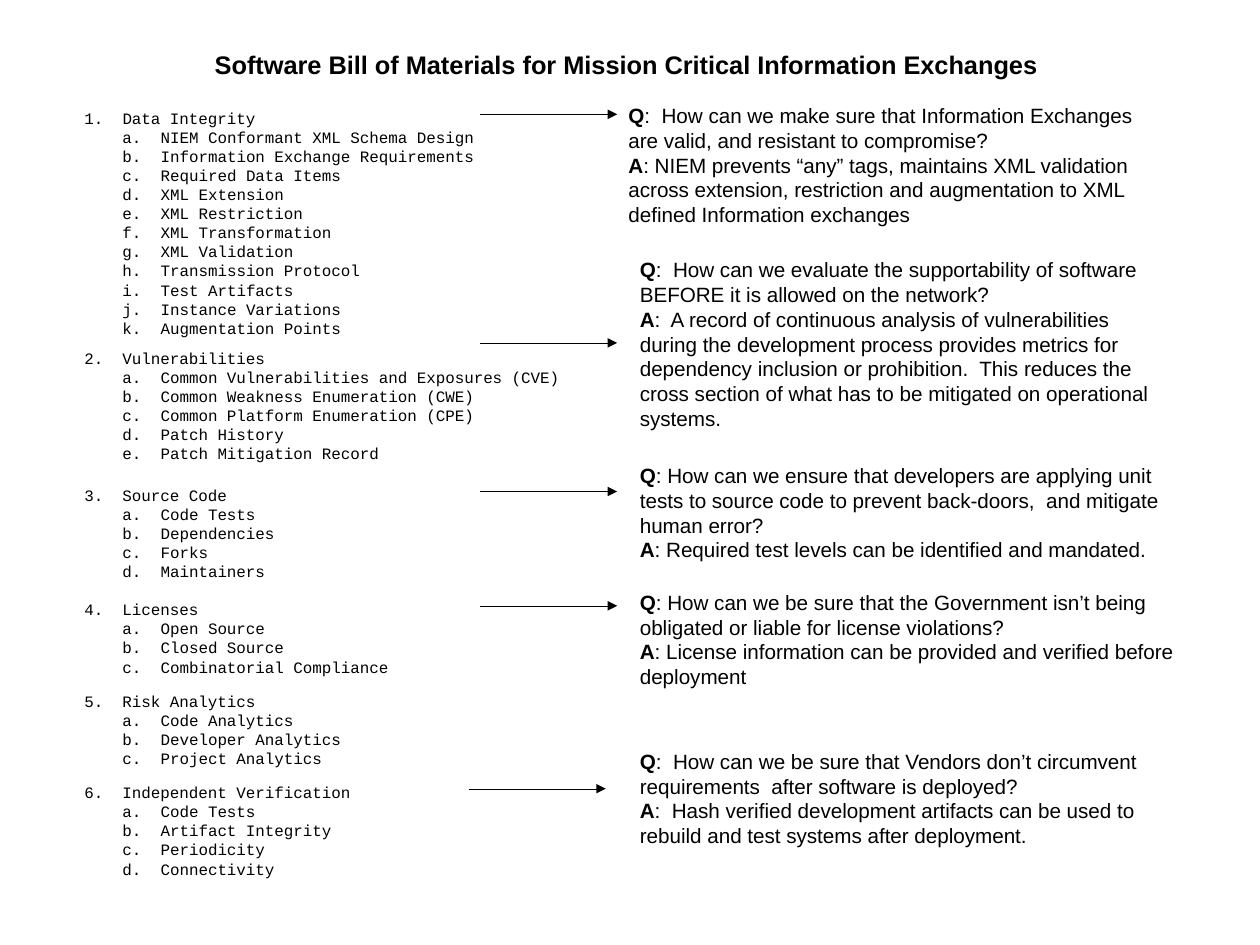
from lxml import etree
from pptx import Presentation
from pptx import util as u
from pptx.dml import color
from pptx.enum import shapes, text
from pptx.oxml import ns

COLOURS = {"ink": "000000"}
TITLE = "Software Bill of Materials for Mission Critical Information Exchanges"
TITLE_BOX = (39.6, 23.76, 714.24, 33.84)

# top, width, height, heading, items
TOPICS = [
    (64.8, 310.32, 151.2, "Data Integrity", [
        "NIEM Conformant XML Schema Design", "Information Exchange Requirements",
        "Required Data Items", "XML Extension", "XML Restriction",
        "XML Transformation", "XML Validation", "Transmission Protocol",
        "Test Artifacts", "Instance Variations", "Augmentation Points"]),
    (216, 331.2, 93.6, "Vulnerabilities", [
        "Common Vulnerabilities and Exposures (CVE)",
        "Common Weakness Enumeration (CWE)", "Common Platform Enumeration (CPE)",
        "Patch History", "Patch Mitigation Record"]),
    (302.4, 331.2, 86.4, "Source Code", [
        "Code Tests", "Dependencies", "Forks", "Maintainers"]),
    (374.4, 244.8, 86.4, "Licenses", [
        "Open Source", "Closed Source", "Combinatorial Compliance"]),
    (432, 277.92, 93.6, "Risk Analytics", [
        "Code Analytics", "Developer Analytics", "Project Analytics"]),
    (489.6, 277.92, 93.6, "Independent Verification", [
        "Code Tests", "Artifact Integrity", "Periodicity", "Connectivity"]),
]

ANSWERS = [
    ((388.8, 61.2, 352.8, 94.32),
     ":  How can we make sure that Information Exchanges are valid, and resistant "
     "to compromise?",
     ": NIEM prevents “any” tags, maintains XML validation across extension, "
     "restriction and augmentation to XML defined Information exchanges"),
    ((396, 158.4, 345.6, 113.04),
     ":  How can we evaluate the supportability of software BEFORE it is allowed "
     "on the network?",
     ":  A record of continuous analysis of vulnerabilities during the development "
     "process provides metrics for dependency inclusion or prohibition.  This "
     "reduces the cross section of what has to be mitigated on operational systems."),
    ((396, 288, 352.8, 79.92),
     ": How can we ensure that developers are applying unit tests to source code "
     "to prevent back-doors,  and mitigate human error?",
     ": Required test levels can be identified and mandated."),
    ((396, 367.92, 367.2, 72),
     ": How can we be sure that the Government isn’t being obligated or liable for "
     "license violations?",
     ": License information can be provided and verified before deployment"),
    ((396, 468, 345.6, 94.32),
     ":  How can we be sure that Vendors don’t circumvent requirements  after "
     "software is deployed?",
     ":  Hash verified development artifacts can be used to rebuild and test "
     "systems after deployment."),
]

TOPIC_LEFT = 46.08
INDENT_STEP = 24
ARROW_LENGTH = 86.4
ARROW_STARTS = [(302.4, 72), (302.4, 216), (302.4, 309.6), (302.4, 381.6), (295.2, 496.8)]


def ink():
    return color.RGBColor.from_string(COLOURS["ink"])


def style(run, font_name, size, bold=False):
    run.font.name = font_name
    run.font.size = u.Pt(size)
    run.font.bold = bold
    run.font.color.rgb = ink()


def add_text_box(slide, box, paragraph_texts):
    frame = slide.shapes.add_textbox(*map(u.Pt, box)).text_frame
    frame.word_wrap = True
    frame.auto_size = text.MSO_AUTO_SIZE.SHAPE_TO_FIT_TEXT
    frame.text = "\n".join(paragraph_texts)
    return frame


def add_title(slide):
    frame = add_text_box(slide, TITLE_BOX, [TITLE])
    frame.margin_left = frame.margin_right = frame.margin_top = frame.margin_bottom = 0
    frame.vertical_anchor = text.MSO_ANCHOR.MIDDLE
    paragraph = frame.paragraphs[0]
    paragraph.alignment = text.PP_ALIGN.CENTER
    style(paragraph.runs[0], "Arial", 16, bold=True)
    ending = paragraph.add_run()
    ending.text = " "
    style(ending, "Arial", 15)


def add_topic(slide, number, topic):
    top, width, height, heading, items = topic
    lines = [f"{number}.\t{heading}"]
    lines += [f"{letter}.\t{item}" for letter, item in zip("abcdefghijk", items)]
    frame = add_text_box(slide, (TOPIC_LEFT, top, width, height), lines)
    for index, paragraph in enumerate(frame.paragraphs):
        level = 2 if index else 1
        properties = paragraph._p.get_or_add_pPr()
        properties.set("marL", str(u.Pt(level * INDENT_STEP)))
        properties.set("indent", str(-u.Pt(INDENT_STEP)))
        for run in paragraph.runs:
            style(run, "Courier New", 10)


def add_answer(slide, box, question, answer):
    frame = add_text_box(slide, box, ["Q", "A"])
    for paragraph, wording in zip(frame.paragraphs, (question, answer)):
        style(paragraph.runs[0], "Arial", 13, bold=True)
        run = paragraph.add_run()
        run.text = wording
        style(run, "Arial", 13)


def add_arrow(slide, left, top):
    arrow = slide.shapes.add_connector(
        shapes.MSO_CONNECTOR.STRAIGHT,
        u.Pt(left), u.Pt(top), u.Pt(left + ARROW_LENGTH), u.Pt(top))
    arrow.line.color.rgb = ink()
    outline = arrow._element.spPr.find(ns.qn("a:ln"))
    outline.set("w", "0")
    etree.SubElement(outline, ns.qn("a:tailEnd"), type="triangle")
    etree.SubElement(arrow._element.spPr, ns.qn("a:effectLst"))


def main():
    """Build the software bill of materials slide."""
    presentation = Presentation()
    presentation.slide_width = u.Pt(793.7)
    presentation.slide_height = u.Pt(595.28)
    slide = presentation.slides.add_slide(presentation.slide_layouts[6])
    add_title(slide)
    for number, topic in enumerate(TOPICS, 1):
        add_topic(slide, number, topic)
    for box, question, answer in ANSWERS:
        add_answer(slide, box, question, answer)
    for left, top in ARROW_STARTS:
        add_arrow(slide, left, top)
    presentation.save("out.pptx")


if __name__ == "__main__":
    main()
